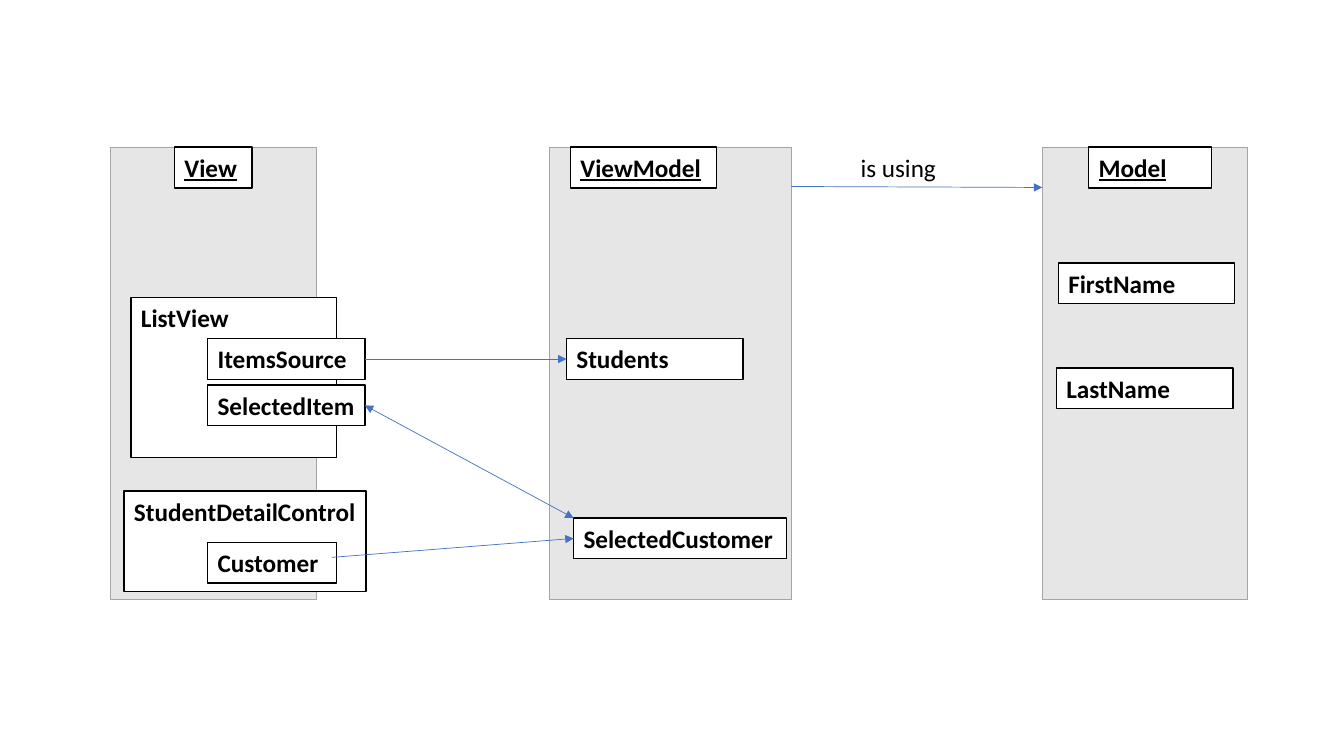
"""Build a slide that shows how View, ViewModel and Model are bound together."""
from lxml import etree
from pptx import Presentation
from pptx import util as u
from pptx.dml.color import RGBColor
from pptx.enum import shapes, text
from pptx.oxml.ns import qn

deck = Presentation()
deck.slide_width, deck.slide_height = u.Inches(13.33), u.Inches(7.5)
page = deck.slides.add_slide(deck.slide_layouts[6])
column, row = deck.slide_width / 100, deck.slide_height / 100

TOP, LABEL_HEIGHT = 19.47, 5.39
PANEL_WIDTH, WIDE, FIELD_WIDTH, PROPERTY_WIDTH = 15.3, 18, 13.13, 11.7
VIEW, VIEW_MODEL, MODEL = 8.25, 40.88, 77.55
PROPERTY, STUDENTS, SELECTED = 15.45, 42.15, 42.68
SOURCE_TOP, ITEM_TOP, CUSTOMER_TOP = 44.8, 50.93, 68.53
PROPERTY_RIGHT = PROPERTY + PROPERTY_WIDTH


def add_box(left, top, width, height, fill, line, weight):
    """Add a rectangle placed in hundredths of the slide."""
    box = page.shapes.add_shape(
        shapes.MSO_SHAPE.RECTANGLE, round(left * column), round(top * row),
        round(width * column), round(height * row))
    box.shadow.inherit = False
    box.fill.solid()
    box.fill.fore_color.rgb = RGBColor.from_string(fill)
    box.line.color.rgb = RGBColor.from_string(line)
    box.line.width = u.Pt(weight)
    return box


def write(box, words, bold=True, underline=False):
    """Write one left-aligned line at the top of a box."""
    frame = box.text_frame
    frame.word_wrap = True
    frame.margin_right = 0
    frame.vertical_anchor = text.MSO_ANCHOR.TOP
    paragraph = frame.paragraphs[0]
    paragraph.text = words
    paragraph.alignment = text.PP_ALIGN.LEFT
    font = paragraph.font
    font.name, font.size = "Calibri", u.Pt(18)
    font.bold, font.underline = bold, underline
    font.color.rgb = RGBColor.from_string("000000")


for left, width in [(VIEW, PANEL_WIDTH), (VIEW_MODEL, WIDE), (MODEL, PANEL_WIDTH)]:
    add_box(left, TOP, width, 59.87, "E7E6E6", "A5A5A5", 0.5)

for words, left, width in [("View", 12.98, 5.78), ("Model", 81, 9.15),
                           ("ViewModel", 42.45, 10.88)]:
    heading = add_box(left, TOP, width, LABEL_HEIGHT, "FFFFFF", "000000", 1)
    write(heading, words, underline=True)

members = [
    ("Students", STUDENTS, SOURCE_TOP, FIELD_WIDTH, LABEL_HEIGHT),
    ("ListView", 9.75, 39.33, PANEL_WIDTH, 21.2),
    ("StudentDetailControl", 9.23, 64.93, WIDE, 13.33),
    ("ItemsSource", PROPERTY, SOURCE_TOP, PROPERTY_WIDTH, LABEL_HEIGHT),
    ("SelectedItem", PROPERTY, ITEM_TOP, PROPERTY_WIDTH, LABEL_HEIGHT),
    ("Customer", PROPERTY, 71.73, 9.6, LABEL_HEIGHT),
    ("SelectedCustomer", SELECTED, CUSTOMER_TOP, 15.83, LABEL_HEIGHT),
    ("FirstName", 78.75, 34.8, FIELD_WIDTH, LABEL_HEIGHT),
    ("LastName", 78.6, 48.67, FIELD_WIDTH, LABEL_HEIGHT),
]
for words, *place in members:
    write(add_box(*place, "FFFFFF", "000000", 1), words)

half = LABEL_HEIGHT / 2
arrows = [
    (PROPERTY_RIGHT, SOURCE_TOP + half, STUDENTS, SOURCE_TOP + half, ["tailEnd"]),
    (24.68, 73.73, SELECTED, CUSTOMER_TOP + half, ["tailEnd"]),
    (PROPERTY_RIGHT, ITEM_TOP + half, SELECTED, CUSTOMER_TOP, ["headEnd", "tailEnd"]),
    (VIEW_MODEL + WIDE, 24.67, MODEL, 24.8, ["tailEnd"]),
]
for start_x, start_y, end_x, end_y, ends in arrows:
    arrow = page.shapes.add_connector(
        shapes.MSO_CONNECTOR.STRAIGHT, round(start_x * column), round(start_y * row),
        round(end_x * column), round(end_y * row))
    arrow.line.color.rgb = RGBColor.from_string("4472C4")
    arrow.line.width = u.Pt(0.5)
    for end in ends:
        etree.SubElement(arrow.line._get_or_add_ln(), qn(f"a:{end}"), type="triangle")
    etree.SubElement(arrow._element.spPr, qn("a:effectLst"))

caption = page.shapes.add_textbox(
    round(63.3 * column), round(TOP * row), round(11.4 * column), round(LABEL_HEIGHT * row))
write(caption, "is using", bold=False)

deck.save("out.pptx")
